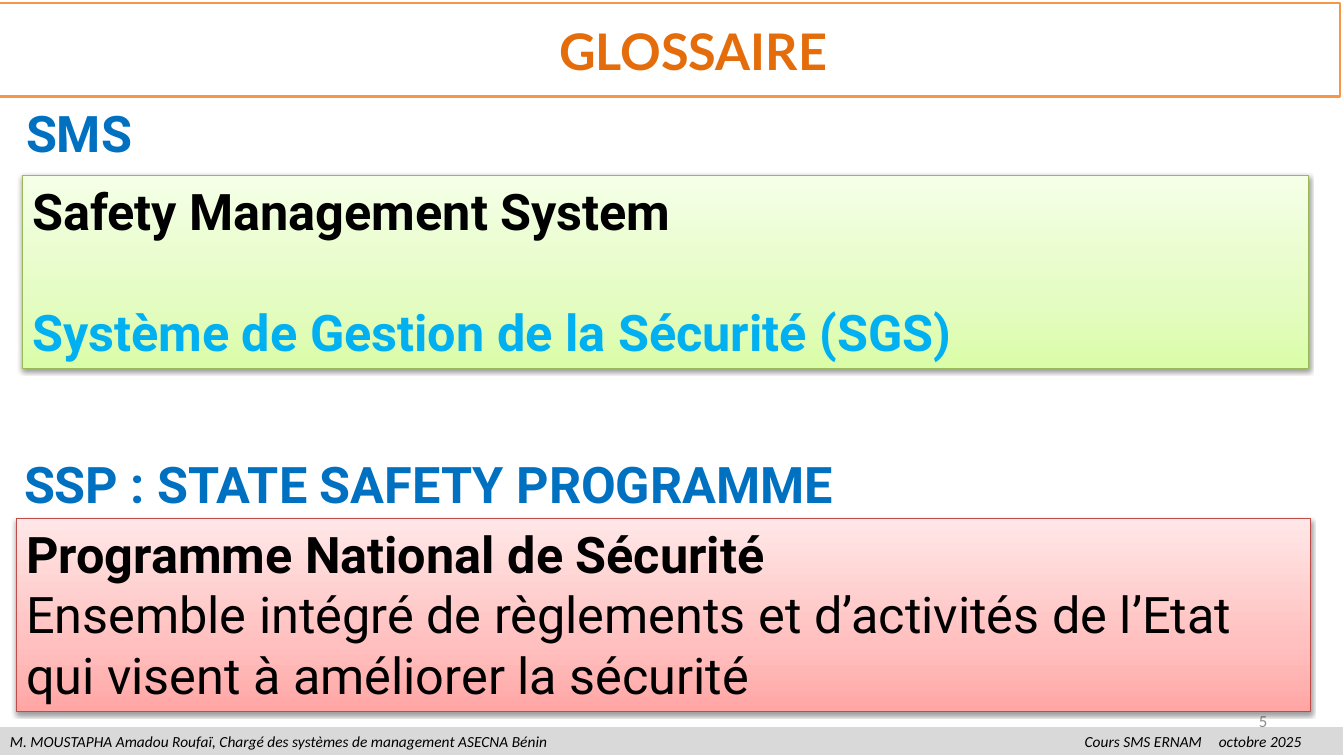
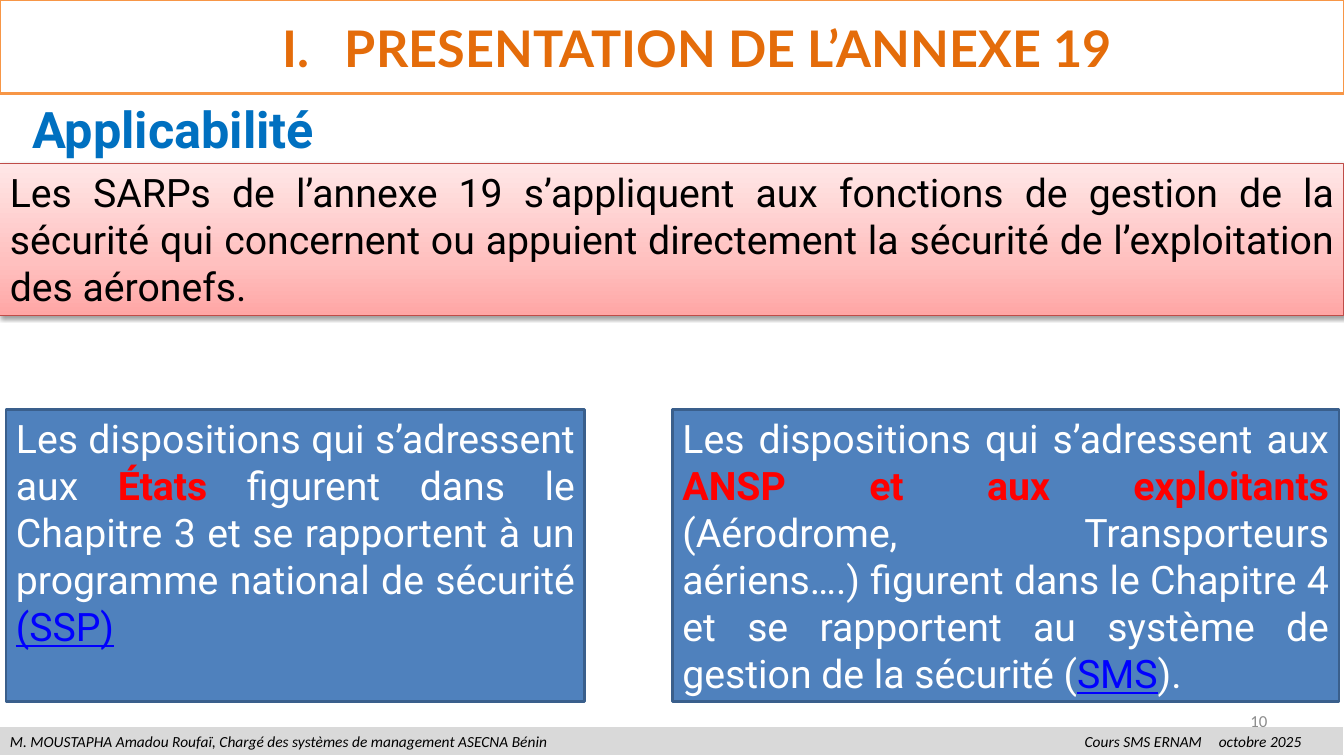
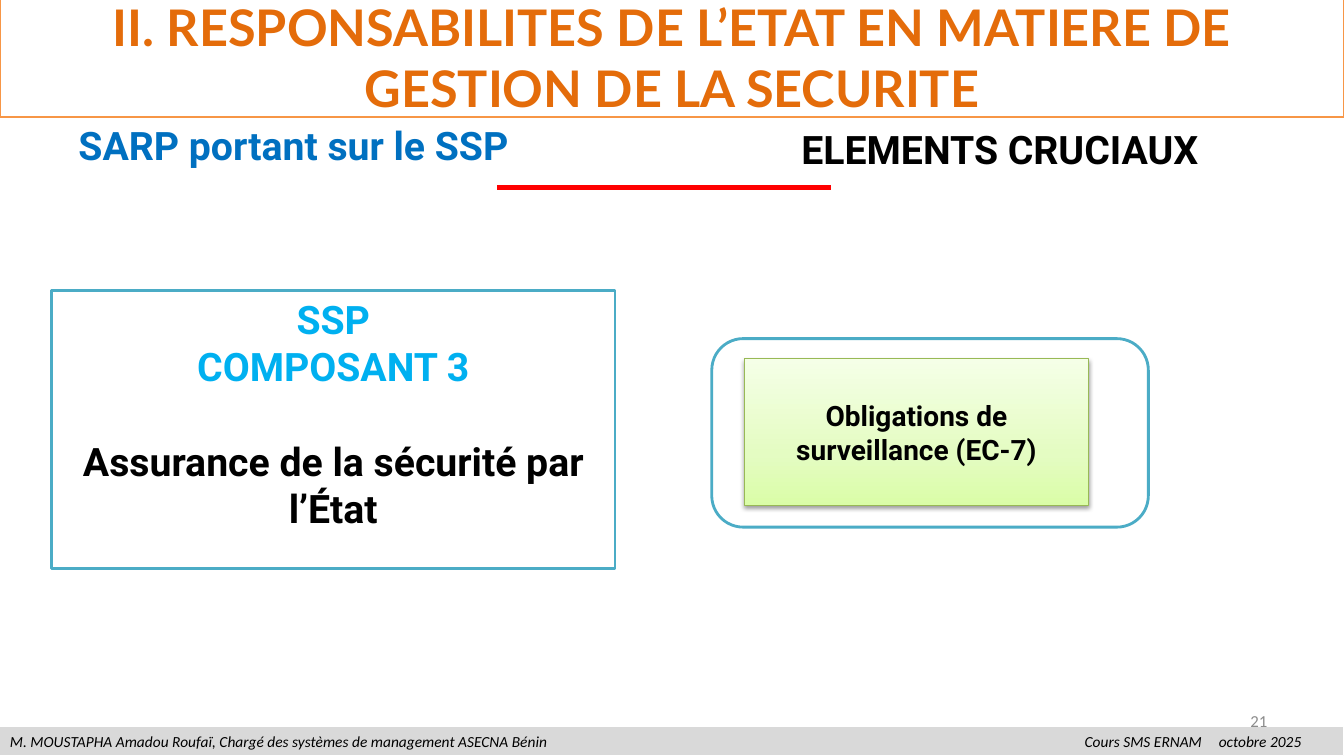
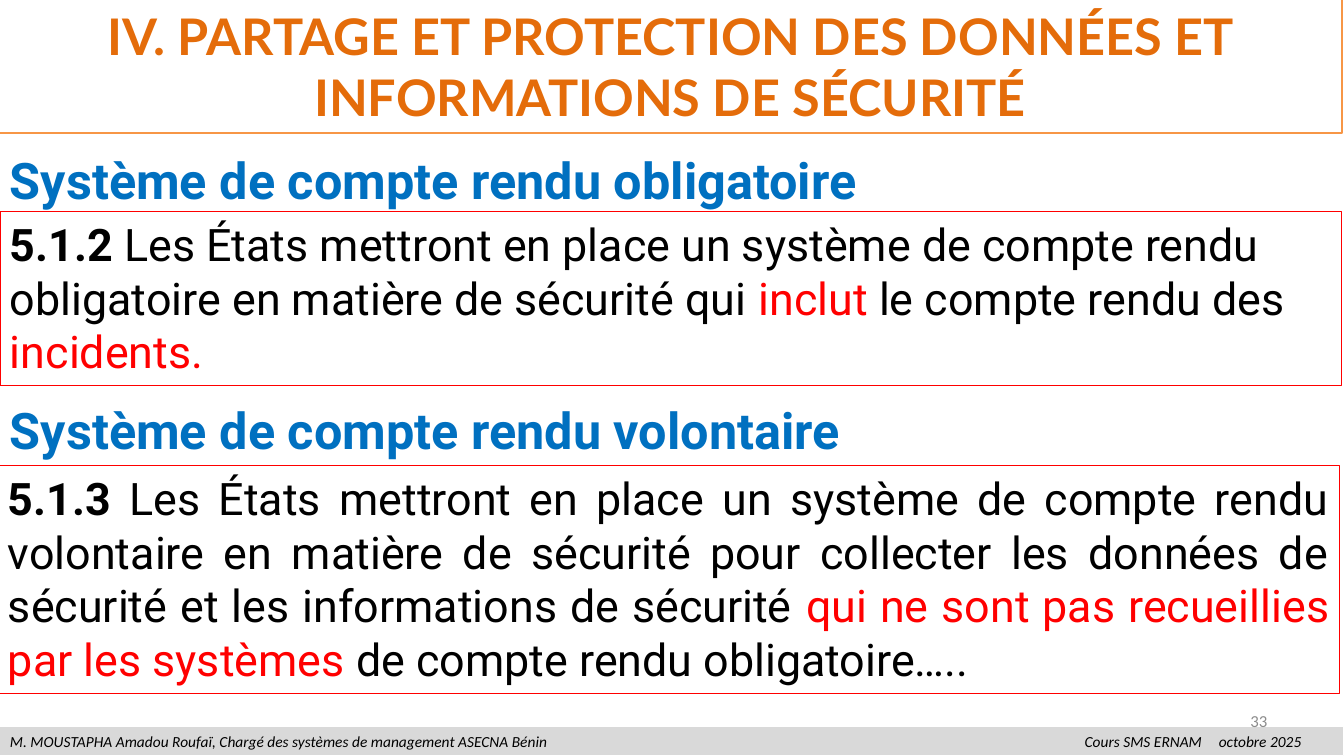
from copy import deepcopy

from lxml.etree import SubElement
from pptx import Presentation
from pptx.dml.color import RGBColor
from pptx.enum.shapes import MSO_CONNECTOR, MSO_SHAPE
from pptx.enum.text import MSO_ANCHOR, MSO_AUTO_SIZE, PP_ALIGN
from pptx.oxml.ns import qn
from pptx.util import Inches, Pt

COLORS = {
    "white": "FFFFFF", "black": "000000", "red": "FF0000",
    "orange": "F79646", "title": "E46C0A", "heading": "0070C0",
    "sky": "00B0F0", "teal": "4BACC6", "link": "0000FF",
    "blue": "4F81BD", "blue_edge": "3A5F8C",
    "green_edge": "98B955", "red_edge": "BF4C48",
    "footer": "D9D9D9", "number": "8C8C8C",
}
GRADIENTS = {
    "green": ["DAFDA7", "E4FCC2", "F5FFE7"],
    "rose": ["FFA6A5", "FFC0BF", "FFE7E7"],
}
GRADIENT_POSITIONS = [0, 0.35, 1]

TITLE = {"name": "Lato", "size": Pt(36), "bold": True, "color": "title"}
HEADING = {"name": "Roboto", "size": Pt(36), "bold": True, "color": "heading"}
SUBHEADING = HEADING | {"size": Pt(28)}
TERM = HEADING | {"color": "black"}
ARTICLE = {"name": "Roboto", "size": Pt(32), "bold": False, "color": "black"}
BODY = ARTICLE | {"size": Pt(28)}
FOOTER = {"name": "Calibri", "size": Pt(11), "italic": True, "color": "black"}
NUMBER = {"name": "Calibri", "size": Pt(12), "color": "number"}

STRONG = {"bold": True}
RED = {"color": "red"}
LINK = {"color": "link", "underline": True}


def rgb(color):
    return RGBColor.from_string(COLORS[color])


def place(shape, left, top, width, height):
    for side, length in {"left": left, "top": top, "width": width, "height": height}.items():
        setattr(shape, side, Inches(length))


def write(shape, paragraphs, style, align=PP_ALIGN.LEFT, anchor=MSO_ANCHOR.TOP):
    """Fill a shape with paragraphs, each a string or a list of (text, style changes)."""
    frame = shape.text_frame
    frame.word_wrap = True
    frame.auto_size = MSO_AUTO_SIZE.NONE
    frame.vertical_anchor = anchor
    for index, content in enumerate(paragraphs):
        paragraph = frame.add_paragraph() if index else frame.paragraphs[0]
        paragraph.alignment = align
        runs = [(content, {})] if isinstance(content, str) else content
        for text, changes in runs:
            run = paragraph.add_run()
            run.text = text
            for key, value in (style | changes).items():
                if key == "color":
                    run.font.color.rgb = rgb(value)
                else:
                    setattr(run.font, key, value)
    return frame.paragraphs


def add_text(slide, box, paragraphs, style, **layout):
    label = slide.shapes.add_textbox(*map(Inches, box))
    return write(label, paragraphs, style, **layout)


def add_box(slide, box, fill, edge, weight=2.0, preset=MSO_SHAPE.RECTANGLE):
    panel = slide.shapes.add_shape(preset, *map(Inches, box))
    panel.shadow.inherit = False
    if fill:
        panel.fill.solid()
        panel.fill.fore_color.rgb = rgb(fill)
    else:
        panel.fill.background()
    panel.line.color.rgb = rgb(edge)
    panel.line.width = Pt(weight)
    return panel


def add_gradient_box(slide, box, gradient, edge):
    """Add a box with a three-stop vertical gradient and a soft shadow below."""
    panel = add_box(slide, box, None, edge, 0.75)
    properties = panel.element.spPr
    panel.fill.gradient()
    panel.fill.gradient_angle = 90
    stops = properties.find(".//" + qn("a:gsLst"))
    stops.append(deepcopy(stops[0]))
    for stop, position, color in zip(panel.fill.gradient_stops, GRADIENT_POSITIONS,
                                     GRADIENTS[gradient]):
        stop.position = position
        stop.color.rgb = RGBColor.from_string(color)
    shadow = SubElement(properties.find(qn("a:effectLst")), qn("a:outerShdw"),
                        blurRad=str(Pt(3.1)), dist=str(Pt(1.6)), dir="5400000", rotWithShape="0")
    shade = SubElement(shadow, qn("a:srgbClr"), val=COLORS["black"])
    SubElement(shade, qn("a:alpha"), val="38000")
    return panel


def add_rule(slide, left, right, y):
    rule = slide.shapes.add_connector(MSO_CONNECTOR.STRAIGHT, *map(Inches, (left, y, right, y)))
    rule.line.color.rgb = rgb("red")
    rule.line.width = Pt(3)
    SubElement(rule.element.spPr, qn("a:effectLst"))


def indent(paragraph, margin, first=0, numbering=None):
    properties = paragraph._p.get_or_add_pPr()
    properties.set("marL", str(Inches(margin)))
    properties.set("indent", str(Inches(first)))
    if numbering:
        SubElement(properties, qn("a:buFont"), typeface="+mj-lt")
        SubElement(properties, qn("a:buAutoNum"), type=numbering)


def add_footer(slide, number):
    band = add_box(slide, (0, 7.21, 13.33, 0.29), "footer", "white", 0.75)
    line = write(band, ["M. MOUSTAPHA Amadou Roufaï, Chargé des systèmes de management ASECNA Bénin"
                        "\tCours SMS ERNAM\toctobre 2025"], FOOTER)[0]
    tabs = SubElement(line._p.get_or_add_pPr(), qn("a:tabLst"))
    for position in (10.66, 11.99):
        SubElement(tabs, qn("a:tab"), pos=str(Inches(position)), algn="l")
    add_text(slide, (9.56, 6.95, 3.11, 0.4), [str(number)], NUMBER,
             align=PP_ALIGN.RIGHT, anchor=MSO_ANCHOR.MIDDLE)


def new_slide(deck, number, title, box):
    """Add a slide with footer and title; return it with the title paragraph."""
    slide = deck.slides.add_slide(deck.slide_layouts[5])
    heading = slide.shapes.title
    place(heading, *box)
    heading.fill.solid()
    heading.fill.fore_color.rgb = rgb("white")
    heading.line.color.rgb = rgb("orange")
    heading.line.width = Pt(2)
    paragraph = write(heading, [title], TITLE, PP_ALIGN.CENTER, MSO_ANCHOR.MIDDLE)[0]
    add_footer(slide, number)
    return slide, paragraph


def build_glossary(deck):
    slide, title = new_slide(deck, 5, "GLOSSAIRE", (-0.04, 0.03, 13.33, 0.93))
    indent(title, 0.5)
    programme = add_gradient_box(slide, (0.16, 5.14, 12.84, 1.92), "rose", "red_edge")
    write(programme, [
        "Programme National de Sécurité",
        [("Ensemble intégré de règlements et d’activités de l’Etat qui visent à améliorer "
          "la sécurité", {"bold": False})],
    ], TERM)
    add_text(slide, (0.14, 4.45, 9.04, 0.71), ["SSP : STATE SAFETY PROGRAMME"], HEADING)
    add_text(slide, (0.16, 0.96, 1.98, 0.71), ["SMS"], HEADING)
    system = add_gradient_box(slide, (0.22, 1.74, 12.76, 1.92), "green", "green_edge")
    lines = write(system, [
        "Safety Management System",
        [("Système de Gestion de la Sécurité (SGS)", {"color": "sky"})],
    ], TERM)
    lines[1].space_before = Pt(43)


def build_applicability(deck):
    slide, title = new_slide(deck, 10, "PRESENTATION DE L’ANNEXE 19", (0, 0, 13.33, 0.93))
    indent(title, 1.12, -0.62, "romanUcPeriod")
    scope = add_gradient_box(slide, (0, 1.62, 13.33, 1.51), "rose", "red_edge")
    write(scope, ["Les SARPs de l’annexe 19 s’appliquent aux fonctions de gestion de la sécurité "
                  "qui concernent ou appuient directement la sécurité de l’exploitation des "
                  "aéronefs."], BODY, PP_ALIGN.JUSTIFY)
    add_text(slide, (0.22, 0.92, 3.22, 0.71), ["Applicabilité"], HEADING)
    provisions = [
        (0.06, 5.74, [
            ("Les dispositions qui s’adressent aux ", {}),
            ("États", STRONG | RED),
            (" figurent dans le Chapitre 3 et se rapportent à un programme national de "
             "sécurité ", {}),
            ("(SSP)", LINK),
        ]),
        (6.67, 6.61, [
            ("Les dispositions qui s’adressent aux ", {}),
            ("ANSP et aux exploitants ", STRONG | RED),
            ("(Aérodrome, Transporteurs aériens….) figurent dans le Chapitre 4 et se "
             "rapportent au système de gestion de la sécurité (", {}),
            ("SMS", LINK),
            (").", {}),
        ]),
    ]
    for left, width, content in provisions:
        panel = add_box(slide, (left, 4.06, width, 2.9), "blue", "blue_edge")
        write(panel, [content], BODY | {"color": "white"}, PP_ALIGN.JUSTIFY)


def build_state_duties(deck):
    slide, _ = new_slide(
        deck, 21, "II. RESPONSABILITES DE L’ETAT EN MATIERE DE GESTION DE LA SECURITE",
        (0, -0.03, 13.33, 1.19))
    add_box(slide, (7.06, 3.36, 4.33, 1.87), "white", "teal",
            preset=MSO_SHAPE.ROUNDED_RECTANGLE)
    component = add_box(slide, (0.51, 2.88, 5.59, 2.76), "white", "teal")
    lines = write(component, [
        "SSP", "COMPOSANT 3",
        [("Assurance de la sécurité par l’État", {"color": "black"})],
    ], SUBHEADING | {"color": "sky"}, PP_ALIGN.CENTER)
    lines[2].space_before = Pt(34)
    duty = add_gradient_box(slide, (7.38, 3.56, 3.42, 1.46), "green", "green_edge")
    write(duty, ["Obligations de surveillance (EC-7)"], TERM | {"size": Pt(20)},
          PP_ALIGN.CENTER, MSO_ANCHOR.MIDDLE)
    add_text(slide, (0.68, 1.15, 5.59, 0.57), ["SARP portant sur le SSP"], SUBHEADING)
    add_text(slide, (7.85, 1.19, 4.52, 0.57), ["ELEMENTS CRUCIAUX"],
             SUBHEADING | {"color": "black"})
    add_rule(slide, 4.93, 8.24, 1.86)


def build_reporting(deck):
    slide, _ = new_slide(
        deck, 33, "IV. PARTAGE ET PROTECTION DES DONNÉES ET INFORMATIONS DE SÉCURITÉ",
        (-0.02, -0.01, 13.33, 1.33))
    articles = [
        ("Système de compte rendu obligatoire", 1.43, (0, 2.1, 13.31, 1.72), PP_ALIGN.LEFT, [
            ("5.1.2", STRONG),
            (" Les États mettront en place un système de compte rendu obligatoire en matière "
             "de sécurité qui ", {}),
            ("inclut", RED),
            (" le compte rendu des ", {}),
            ("incidents.", RED),
        ]),
        ("Système de compte rendu volontaire", 3.91, (-0.02, 4.62, 13.31, 2.26),
         PP_ALIGN.JUSTIFY, [
            ("5.1.3", STRONG),
            (" Les États mettront en place un système de compte rendu volontaire en matière "
             "de sécurité pour collecter les données de sécurité et les informations de "
             "sécurité ", {}),
            ("qui ne sont pas recueillies par les systèmes", RED),
            (" de compte rendu obligatoire…..", {}),
        ]),
    ]
    for heading, top, box, align, content in articles:
        add_text(slide, (0, top, 13.31, 0.71), [heading], HEADING)
        write(add_box(slide, box, None, "red", 0.75), [content], ARTICLE, align)


def main():
    deck = Presentation()
    deck.slide_width = Inches(13.33)
    deck.slide_height = Inches(7.5)
    for build in (build_glossary, build_applicability, build_state_duties, build_reporting):
        build(deck)
    deck.save("out.pptx")


if __name__ == "__main__":
    main()
